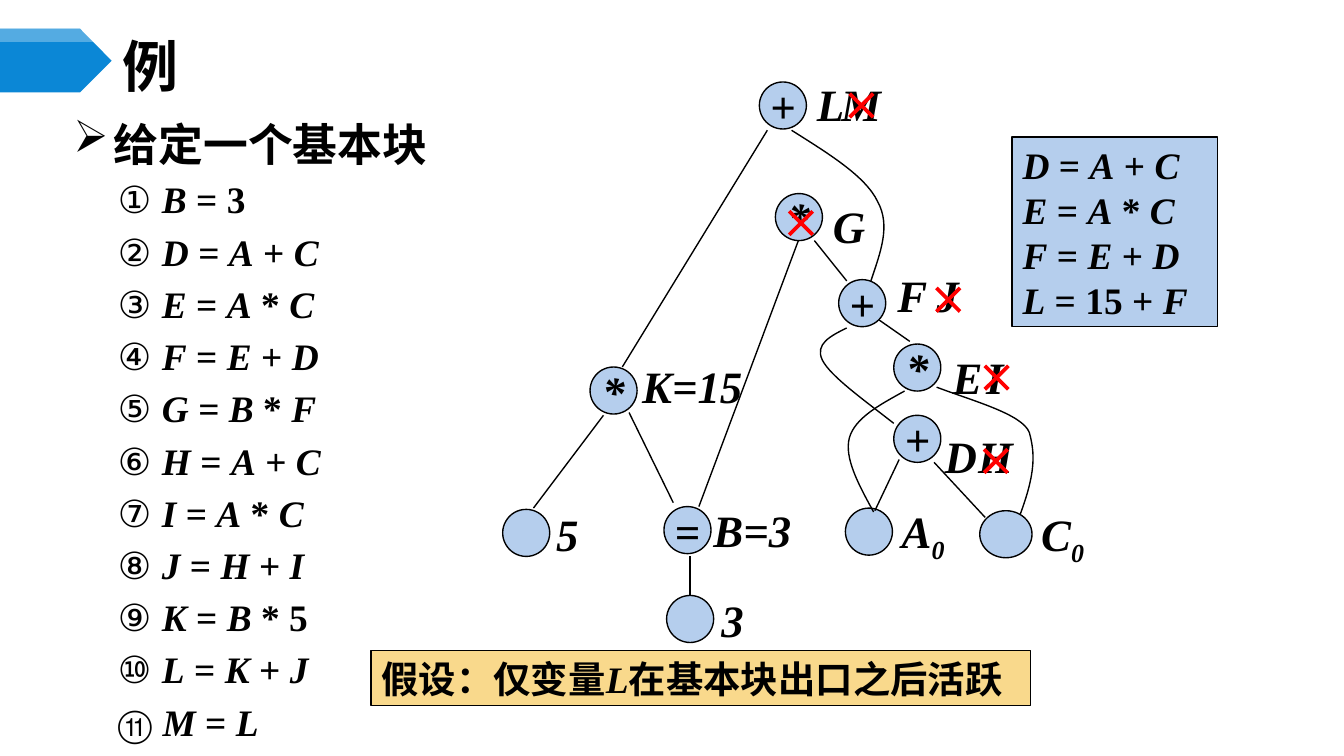
from dataclasses import dataclass
from itertools import groupby

from pptx import Presentation
from pptx.dml.color import RGBColor
from pptx.enum.shapes import MSO_CONNECTOR, MSO_SHAPE
from pptx.enum.text import MSO_ANCHOR, PP_ALIGN
from pptx.oxml.ns import qn
from pptx.util import Pt
from lxml.etree import SubElement

COLORS = {"black": "000000", "white": "FFFFFF", "red": "FF0000",
          "banner": "0B87D6", "node": "B5CEED", "note": "F9D98C"}
SERIF, SANS, PLAIN = "Times New Roman", "Noto Sans CJK SC", "Arial"
DIAMETER = 25.2
CROSS_ARM = 6.3


@dataclass(frozen=True)
class Node:
    left: float
    top: float
    symbol: str = ""
    width: float = DIAMETER


@dataclass(frozen=True)
class Label:
    text: str
    left: float
    top: float
    width: float
    subscript: str = ""


NODES = {
    "D": Node(478.8, 222.5, "+"), "E": Node(478.8, 184.3, "*"),
    "F": Node(449.3, 149.8, "+"), "G": Node(415.4, 103.7, "*"),
    "K": Node(316.1, 196.6, "*"), "L": Node(406.8, 43.9, "+"),
    "B": Node(355.7, 271.4, "="), "5": Node(269.3, 272.9),
    "A": Node(452.9, 272.2), "C": Node(524.9, 273.6, width=28),
    "3": Node(357.1, 319),
}
LABELS = [
    Label("L", 432, 38.2, 22), Label("M", 445, 38.2, 26),
    Label("G", 440.6, 103.7, 25),
    Label("F", 475.2, 140.4, 17), Label("J", 496.1, 140.4, 17),
    Label("E", 504.7, 184.3, 17), Label("I", 522.7, 184.3, 13),
    Label("D", 500.4, 226.8, 17), Label("H", 518.4, 226.8, 22),
    Label("K=15", 338.4, 189.4, 70), Label("B=3", 376.6, 266.4, 82),
    Label("5", 292.3, 268.6, 23), Label("3", 380.9, 314.6, 23),
    Label("A", 477.4, 267.1, 38, "0"), Label("C", 552.2, 268.6, 38, "0"),
]
EDGES = [
    (481.7, 246.2, 468.7, 273.6), (500.4, 247.7, 527.8, 277.2),
    (487.4, 182.9, 470.9, 171.4), (436.3, 128.9, 453.6, 150.5),
    (427.7, 128.9, 374.4, 271.4), (337, 221, 360.7, 269.3),
    (323.3, 222.5, 285.8, 272.2), (411.1, 69.8, 333.4, 196.6),
]
CURVES = [
    [(468, 274.3), (460.1, 259.9), (452.2, 245.5), (455, 234.7),
     (457.9, 223.9), (471.6, 216.7), (484.6, 209.5)],
    [(546.5, 275.8), (555.1, 252.7), (554.4, 242.6), (551.5, 231.8),
     (547.9, 221.8), (520.6, 214.6), (501.8, 207.4)],
    [(453.6, 175.7), (445, 180), (436.3, 184.3), (440.6, 193),
     (445, 201.6), (462.2, 213.8), (478.8, 226.8)],
    [(424.1, 69.8), (443.5, 82.1), (463.7, 94.3), (470.2, 108),
     (477.4, 121), (471.6, 135.4), (466.6, 150.5)],
]
CROSSES = [(508, 160.6), (533.9, 202.3), (533.5, 247), (461.5, 56.5), (429.1, 119.5)]
BLOCK = ["B = 3", "D = A + C", "E = A * C", "F = E + D", "G = B * F", "H = A + C",
         "I = A * C", "J = H + I", "K = B * 5", "L = K + J", "M = L"]
OPTIMIZED = ["D = A + C", "E = A * C", "F = E + D", "L = 15 + F"]


def rgb(name: str) -> RGBColor:
    return RGBColor.from_string(COLORS[name])


def add_span(para, text: str, *, size=24, font=SERIF, bold=True, italic=False, baseline=0):
    span = para.add_run()
    span.text = text
    span.font.size, span.font.name = Pt(size), font
    span.font.bold, span.font.italic = bold, italic
    span.font.color.rgb = rgb("black")
    properties = span._r.get_or_add_rPr()
    SubElement(properties, qn("a:ea")).set("typeface", SANS)
    if baseline:
        properties.set("baseline", str(baseline * 1000))


def add_formula(para, text: str, **style):
    """Set variables (Latin letters) in italics and everything else upright."""
    for is_variable, letters in groupby(text, lambda c: c.isascii() and c.isalpha()):
        add_span(para, "".join(letters), italic=is_variable, **style)


def set_frame(shape, *, wrap=True, anchor=MSO_ANCHOR.TOP, inset=(5.6, 2.8)):
    frame = shape.text_frame
    frame.word_wrap, frame.vertical_anchor = wrap, anchor
    frame.margin_left = frame.margin_right = Pt(inset[0])
    frame.margin_top = frame.margin_bottom = Pt(inset[1])
    return frame


def add_text_box(page, left, top, width, height, **options):
    box = page.shapes.add_textbox(Pt(left), Pt(top), Pt(width), Pt(height))
    return set_frame(box, **options)


def add_filled_shape(page, kind, left, top, width, height, color: str):
    shape = page.shapes.add_shape(kind, Pt(left), Pt(top), Pt(width), Pt(height))
    shape.shadow.inherit = False
    shape.fill.solid()
    shape.fill.fore_color.rgb = rgb(color)
    shape.line.color.rgb, shape.line.width = rgb("black"), Pt(0.75)
    return shape


def add_outline(page, points: list, close: bool):
    (left, top), *rest = [(Pt(x), Pt(y)) for x, y in points]
    builder = page.shapes.build_freeform(left, top)
    builder.add_line_segments(rest, close=close)
    shape = builder.convert_to_shape()
    shape.shadow.inherit = False
    return shape


def add_banner(page, points: list, color: str, opacity: int = 100):
    shape = add_outline(page, points, True)
    shape.line.fill.background()
    shape.fill.solid()
    shape.fill.fore_color.rgb = rgb(color)
    if opacity < 100:
        tint = shape._element.spPr.find(".//" + qn("a:srgbClr"))
        SubElement(tint, qn("a:alpha")).set("val", str(opacity * 1000))


def add_curve(page, points: list):
    """Draw a start point followed by triples of Bezier control points."""
    shape = add_outline(page, points, False)
    shape.fill.background()
    shape.line.color.rgb, shape.line.width = rgb("black"), Pt(0.75)
    outline = shape._element.find(".//" + qn("a:path"))
    segments = outline.findall(qn("a:lnTo"))
    for start in range(0, len(segments), 3):
        bezier = SubElement(outline, qn("a:cubicBezTo"))
        for segment in segments[start:start + 3]:
            bezier.append(segment[0])
            outline.remove(segment)


def add_line(page, x1, y1, x2, y2, color="black", width=0.75):
    line = page.shapes.add_connector(MSO_CONNECTOR.STRAIGHT, Pt(x1), Pt(y1), Pt(x2), Pt(y2))
    line.line.color.rgb, line.line.width = rgb(color), Pt(width)
    SubElement(line._element.spPr, qn("a:effectLst"))
    return line


def add_node(page, node: Node):
    shape = add_filled_shape(page, MSO_SHAPE.OVAL, node.left, node.top,
                             node.width, DIAMETER, "node")
    if node.symbol:
        frame = set_frame(shape, wrap=False, anchor=MSO_ANCHOR.MIDDLE, inset=(0, 0))
        frame.paragraphs[0].alignment = PP_ALIGN.CENTER
        add_span(frame.paragraphs[0], node.symbol, italic=True)
    return shape


def add_label(page, label: Label):
    para = add_text_box(page, label.left, label.top, label.width, 34.6).paragraphs[0]
    add_span(para, label.text, italic=True)
    if label.subscript:
        add_span(para, label.subscript, italic=True, baseline=-25)


def add_block_list(page):
    frame = add_text_box(page, 33.8, 67.7, 234.7, 316)
    heading = frame.paragraphs[0]
    heading.line_spacing = 0.7
    properties = heading._p.get_or_add_pPr()
    properties.set("marL", str(Pt(21.6)))
    properties.set("indent", str(Pt(-21.6)))
    bullet_color = SubElement(properties, qn("a:buClr"))
    SubElement(bullet_color, qn("a:srgbClr")).set("val", COLORS["black"])
    SubElement(properties, qn("a:buChar")).set("char", "➢")
    add_span(heading, "给定一个基本块", font=SANS)
    for number, statement in zip("①②③④⑤⑥⑦⑧⑨⑩⑪", BLOCK):
        para = frame.add_paragraph()
        para.level, para.line_spacing, para.space_before = 1, Pt(23), Pt(5)
        para._p.get_or_add_pPr().set("marL", str(Pt(23.8)))
        para._p.get_or_add_pPr().set("indent", "0")
        add_span(para, number, size=18 if number == "⑪" else 20, font=PLAIN, bold=False)
        add_span(para, " ", size=20, font=PLAIN, bold=False)
        add_formula(para, statement, size=20)


def main():
    deck = Presentation()
    deck.slide_width, deck.slide_height = Pt(720), Pt(405)
    page = deck.slides.add_slide(deck.slide_layouts[6])

    add_banner(page, [(0, 15.3), (42.8, 15.3), (59.8, 32.5), (42.8, 49.5), (0, 49.5)], "banner")
    add_banner(page, [(0, 15.3), (42.8, 15.3), (50, 22.5), (0, 22.5)], "white", 30)
    title = add_text_box(page, 59.8, 20.9, 624.2, 28.1, anchor=MSO_ANCHOR.MIDDLE)
    add_span(title.paragraphs[0], "例", size=30, font=SANS)
    add_block_list(page)

    note = add_filled_shape(page, MSO_SHAPE.RECTANGLE, 198.7, 348.5, 353.5, 29.5, "note")
    para = set_frame(note, wrap=False).paragraphs[0]
    para.alignment = PP_ALIGN.LEFT
    add_formula(para, "假设：仅变量L在基本块出口之后活跃", size=20)

    result = add_filled_shape(page, MSO_SHAPE.RECTANGLE, 542.2, 73.4, 110.2, 101.5, "node")
    frame = set_frame(result)
    for index, statement in enumerate(OPTIMIZED):
        para = frame.add_paragraph() if index else frame.paragraphs[0]
        para.alignment = PP_ALIGN.LEFT
        add_formula(para, statement, size=20)

    circles = {name: add_node(page, node) for name, node in NODES.items()}
    for edge in EDGES:
        add_line(page, *edge)
    add_line(page, 369.7, 298.1, 369.7, 319).end_connect(circles["3"], 0)
    for curve in CURVES:
        add_curve(page, curve)
    for label in LABELS:
        add_label(page, label)
    for x, y in CROSSES:
        for rise in (CROSS_ARM, -CROSS_ARM):
            add_line(page, x - CROSS_ARM, y - rise, x + CROSS_ARM, y + rise, "red", 2)
    deck.save("out.pptx")


if __name__ == "__main__":
    main()
